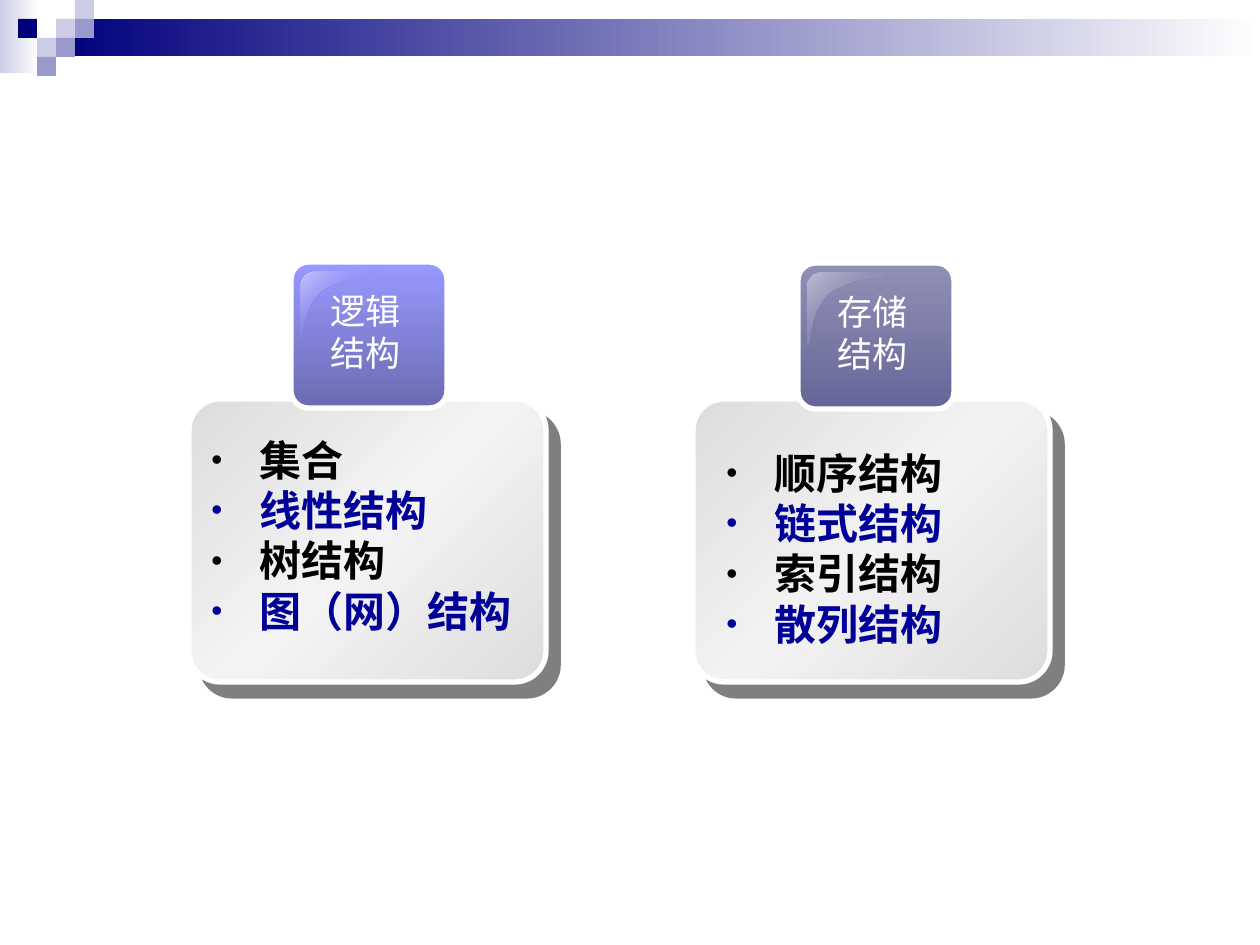
from lxml import etree
from pptx import Presentation
from pptx import util as u
from pptx.dml.color import RGBColor
from pptx.enum import shapes, text
from pptx.oxml.ns import qn

SCALE = 914400 / 126  # EMU in one px


def px(length):
    return u.Emu(round(length * SCALE))


def color(value):
    return RGBColor.from_string(value)


def add(parent, tag, **attributes):
    child = etree.SubElement(parent, qn(tag))
    for name, value in attributes.items():
        child.set(name, str(value))
    return child


def bezier(start, first, second, end, steps=16):
    """Points along a cubic curve, without its start."""
    points = []
    for step in range(1, steps + 1):
        t = step / steps
        weights = ((1 - t) ** 3, 3 * t * (1 - t) ** 2, 3 * t * t * (1 - t), t ** 3)
        points.append(tuple(
            sum(w * p[axis] for w, p in zip(weights, (start, first, second, end)))
            for axis in (0, 1)))
    return points


class Painter:
    label_font, list_font = "Arial", "Noto Sans CJK SC"
    label_size, list_size = 20, 24
    white, black, accent = "FFFFFF", "000000", "000099"
    indent = 48

    def __init__(self, page):
        self.page = page

    def gradient(self, shape, stops, angle):
        """Stops are (position, colour) or (position, colour, opacity)."""
        shape.fill.gradient()
        fill = shape._element.spPr.find(qn("a:gradFill"))
        stop_list = fill.find(qn("a:gsLst"))
        for stop in list(stop_list):
            stop_list.remove(stop)
        for position, value, *opacity in stops:
            stop = add(stop_list, "a:gs", pos=position * 1000)
            tint = add(stop, "a:srgbClr", val=value)
            if opacity:
                add(tint, "a:alpha", val=opacity[0] * 1000)
        fill.find(qn("a:lin")).set("ang", str(angle * 60000))

    def plain(self, shape):
        shape.shadow.inherit = False
        shape.line.fill.background()

    def rectangle(self, area, fill):
        shape = self.page.shapes.add_shape(
            shapes.MSO_SHAPE.RECTANGLE, *map(px, area))
        self.plain(shape)
        if isinstance(fill, str):
            shape.fill.solid()
            shape.fill.fore_color.rgb = color(fill)
        else:
            self.gradient(shape, fill, 0)

    def rounded(self, area, corner, stops, angle, shadow=False):
        shape = self.page.shapes.add_shape(
            shapes.MSO_SHAPE.ROUNDED_RECTANGLE, *map(px, area))
        shape.adjustments[0] = corner
        shape.shadow.inherit = False
        self.gradient(shape, stops, angle)
        shape.line.color.rgb = color(self.white)
        shape.line.width = u.Pt(3)
        if shadow:
            effects = shape._element.spPr.find(qn("a:effectLst"))
            outer = add(effects, "a:outerShdw", blurRad=0, dist=u.Pt(10.6),
                        dir=49 * 60000, algn="ctr", rotWithShape=0)
            add(add(outer, "a:srgbClr", val=self.black), "a:alpha", val=50000)

    def gloss(self, left, top, stops):
        outline = [(15, 0), *bezier((15, 0), (6, 0), (0, 6), (0, 14)), (0, 72),
                   *bezier((0, 72), (3, 73), (1, 38), (20, 21)),
                   *bezier((20, 21), (40, 5), (77, 4), (76, 0))]
        points = [(px(left + x), px(top + y)) for x, y in outline]
        builder = self.page.shapes.build_freeform(*points[0], scale=1.0)
        builder.add_line_segments(points[1:], close=True)
        shape = builder.convert_to_shape()
        self.plain(shape)
        self.gradient(shape, stops, 45)

    def text_box(self, area, wrap):
        box = self.page.shapes.add_textbox(*map(px, area))
        box.text_frame.word_wrap = wrap
        box.text_frame.auto_size = text.MSO_AUTO_SIZE.SHAPE_TO_FIT_TEXT
        return box.text_frame

    def paragraph(self, frame, index):
        return frame.add_paragraph() if index else frame.paragraphs[0]

    def span(self, para, words, font, size, value, bold=False):
        span = para.add_run()
        span.text = words
        span.font.name = font
        span.font.size = u.Pt(size)
        span.font.bold = bold
        span.font.color.rgb = color(value)
        latin = span._r.rPr.find(qn("a:latin"))
        east_asian = etree.Element(qn("a:ea"), typeface=font)
        latin.addnext(east_asian)

    def label(self, area, lines):
        frame = self.text_box(area, False)
        # The full box width is needed to hold two characters on a line
        frame.margin_left = frame.margin_right = 0
        for index, line in enumerate(lines):
            para = self.paragraph(frame, index)
            para.alignment = text.PP_ALIGN.CENTER
            self.span(para, line, self.label_font, self.label_size, self.white)

    def bullets(self, area, items):
        frame = self.text_box(area, True)
        for index, item in enumerate(items):
            para = self.paragraph(frame, index)
            value = self.accent if index % 2 else self.black
            layout = para._p.get_or_add_pPr()
            layout.set("marL", str(px(self.indent)))
            layout.set("indent", str(-px(self.indent)))
            add(add(layout, "a:buClr"), "a:srgbClr", val=value)
            add(layout, "a:buSzPct", val=75000)
            add(layout, "a:buFont", typeface="Arial")
            add(layout, "a:buChar", char="•")
            self.span(para, item, self.list_font, self.list_size, value, True)


def main():
    deck = Presentation()
    deck.slide_width, deck.slide_height = px(1260), px(945)
    painter = Painter(deck.slides.add_slide(deck.slide_layouts[6]))

    # Header band and its checker squares
    pale, middle, navy = "CCCCE6", "9999CC", "00007D"
    painter.rectangle((0, 0, 39, 73), [(0, pale), (100, "FFFFFF")])
    painter.rectangle((57, 19, 1203, 37), [(0, navy), (100, "FFFFFF")])
    square = 19
    for column, row, fill in ((3, 1, pale), (4, 0, pale), (4, 1, middle),
                              (2, 2, pale), (1, 1, navy), (3, 2, middle),
                              (2, 3, middle)):
        painter.rectangle((column * square - 1, row * square, square, square), fill)

    # Two cards, each with a glossy tab and a list
    cards = (
        (189, 291, 262, "F3F3F3", ("9999FF", "6B6BB2"),
         [(0, "C7C7FF"), (50, "9999FF", 0), (100, "C7C7FF")],
         ("逻辑", "结构"), (199, 428, 336, 214),
         ("集合", "线性结构", "树结构", "图（网）结构")),
        (693, 798, 263, "F2F2F2", ("9090B5", "666699"),
         [(0, "BEBED4"), (100, "666699", 0)],
         ("存储", "结构"), (714, 441, 262, 214),
         ("顺序结构", "链式结构", "索引结构", "散列结构")),
    )
    for left, tab, top, sheen, shades, shine, title, area, items in cards:
        painter.rounded((left, 399, 357, 283), 0.11,
                        [(0, "DDDDDD"), (50, sheen), (100, "DDDDDD")], 45, shadow=True)
        painter.rounded((tab, top, 156, 146), 0.12, list(zip((0, 100), shades)), 90)
        painter.gloss(tab + 10, top + 10, shine)
        painter.label((tab + 28, top + 21, 94, 97), title)
        painter.bullets(area, items)

    deck.save("out.pptx")


if __name__ == "__main__":
    main()
